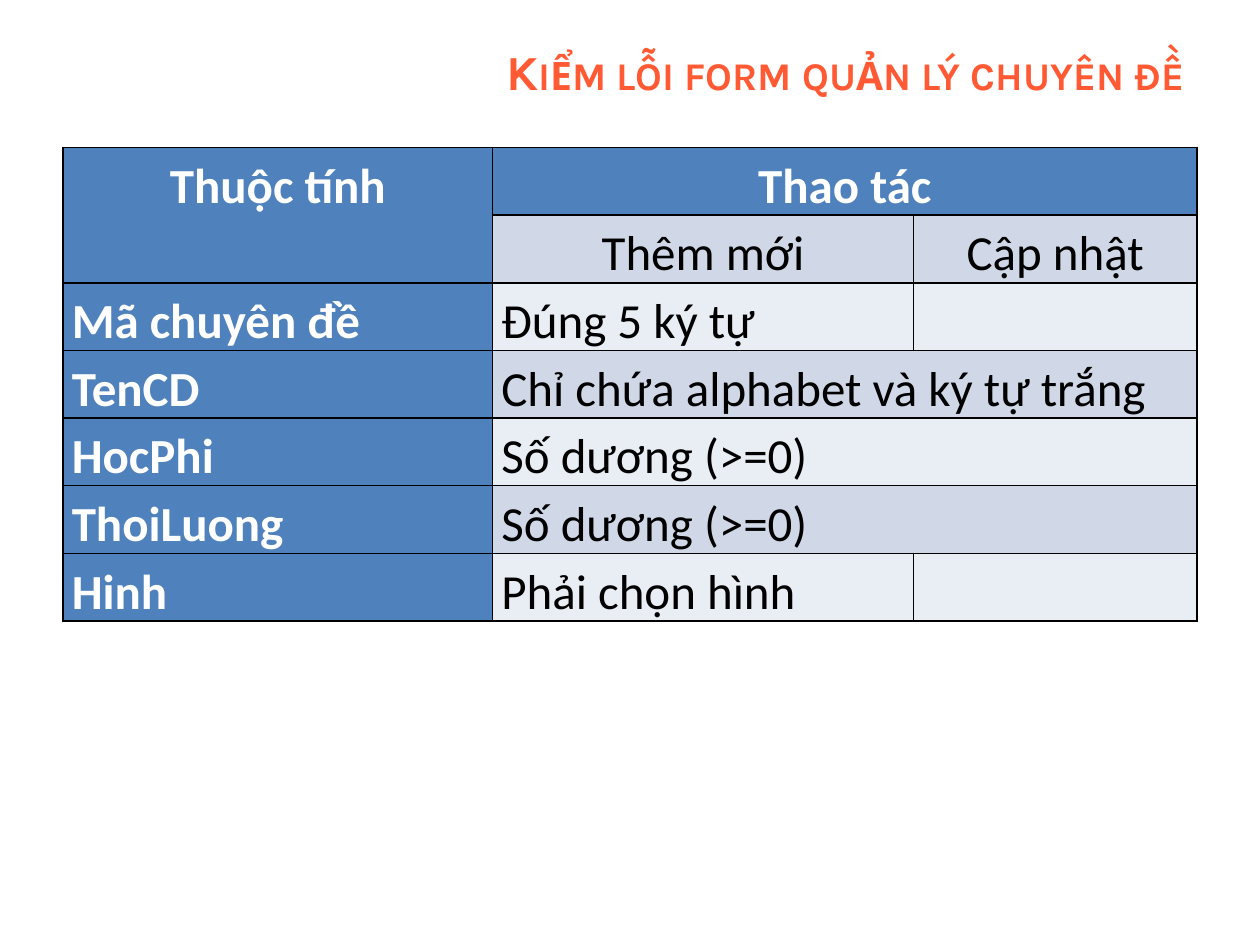
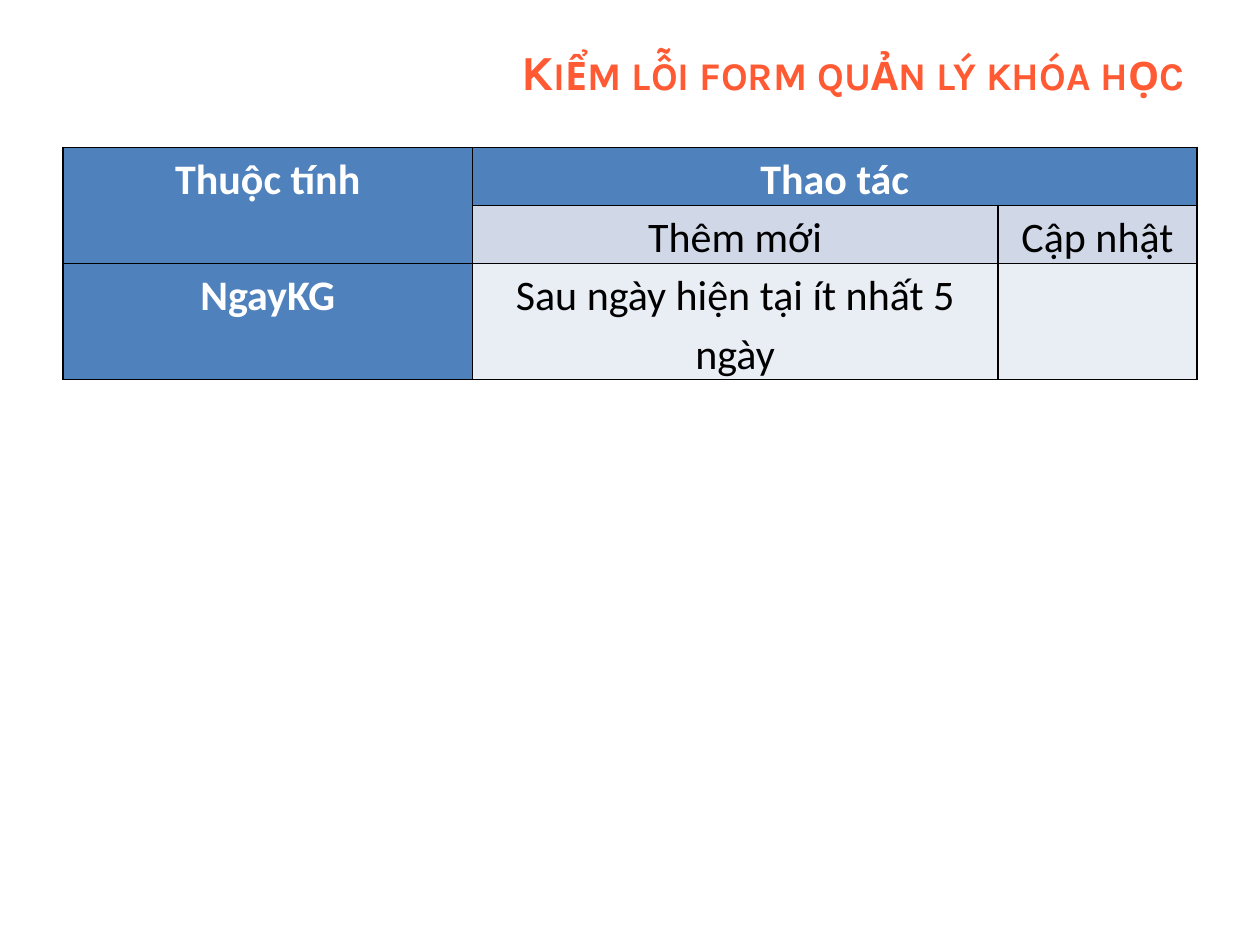
import pptx
import pptx.util
import pptx.dml.color
import pptx.enum.text
import lxml.etree

Inches = pptx.util.Inches
Pt = pptx.util.Pt
RGBColor = pptx.dml.color.RGBColor
ALIGN = pptx.enum.text.PP_ALIGN

ORANGE = RGBColor(0xFF, 0x5A, 0x33)
HEADER_BLUE = RGBColor(0x4F, 0x81, 0xBD)
BAND_DARK = RGBColor(0xD0, 0xD8, 0xE8)
BAND_LIGHT = RGBColor(0xE9, 0xED, 0xF4)
WHITE = RGBColor(0xFF, 0xFF, 0xFF)
BLACK = RGBColor(0, 0, 0)
DRAWING = "http://schemas.openxmlformats.org/drawingml/2006/main"

HEADER_ROWS = [("Thuộc tính", "Thao tác"), ("", "Thêm mới", "Cập nhật")]
FORMS = [
    {
        "title": "Kiểm lỗi form quản lý chuyên đề",
        "size": 28,
        "align": ALIGN.JUSTIFY,
        "columns": [3.41, 3.34, 2.25],
        "heights": [0.5] * 7,
        "rules": [
            ("Mã chuyên đề", "Đúng 5 ký tự", ""),
            ("TenCD", "Chỉ chứa alphabet và ký tự trắng"),
            ("HocPhi", "Số dương (>=0)"),
            ("ThoiLuong", "Số dương (>=0)"),
            ("Hinh", "Phải chọn hình", ""),
        ],
    },
    {
        "title": "Kiểm lỗi form quản lý khóa học",
        "size": 24,
        "align": ALIGN.CENTER,
        "columns": [3.25, 4.17, 1.58],
        "heights": [0.44, 0.44, 0.88],
        "rules": [("NgayKG", "Sau ngày hiện tại ít nhất 5 ngày", "")],
    },
]


def add_title(page, text):
    box = page.shapes.add_textbox(Inches(2.25), Inches(0.3), Inches(7.25), Inches(0.53))
    frame = box.text_frame
    frame.word_wrap = True
    frame.vertical_anchor = pptx.enum.text.MSO_ANCHOR.MIDDLE
    para = frame.paragraphs[0]
    para.alignment = ALIGN.RIGHT
    para.font.name = "Karla"
    para.font.size = Pt(28)
    para.font.bold = True
    para.font.color.rgb = ORANGE
    span = para.add_run()
    span.text = text
    span._r.get_or_add_rPr().set("cap", "small")


def style_cell(cell, fill):
    properties = cell._tc.get_or_add_tcPr()
    for side in ("lnL", "lnR", "lnT", "lnB"):
        line = lxml.etree.SubElement(properties, f"{{{DRAWING}}}{side}", w=str(Pt(1)))
        solid = lxml.etree.SubElement(line, f"{{{DRAWING}}}solidFill")
        lxml.etree.SubElement(solid, f"{{{DRAWING}}}srgbClr", val=str(BLACK))
    cell.fill.solid()
    cell.fill.fore_color.rgb = fill
    cell.margin_left = cell.margin_right = Inches(0.07)
    cell.margin_top = cell.margin_bottom = 0


deck = pptx.Presentation()
deck.slide_width = Inches(10)
deck.slide_height = Inches(7.5)

for form in FORMS:
    page = deck.slides.add_slide(deck.slide_layouts[6])
    add_title(page, form["title"])

    rows = HEADER_ROWS + form["rules"]
    table = page.shapes.add_table(
        len(rows), 3, Inches(0.5), Inches(1.17), Inches(9), Inches(sum(form["heights"]))
    ).table
    table.first_row = False
    table.horz_banding = False
    for column, width in zip(table.columns, form["columns"]):
        column.width = Inches(width)
    for row, height in zip(table.rows, form["heights"]):
        row.height = Inches(height)

    for r, texts in enumerate(rows):
        for c in range(3):
            is_header = r == 0 or c == 0
            band = BAND_DARK if r % 2 else BAND_LIGHT
            cell = table.cell(r, c)
            style_cell(cell, HEADER_BLUE if is_header else band)
            if c < len(texts) and texts[c]:
                cell.text = texts[c]
                para = cell.text_frame.paragraphs[0]
                para.alignment = ALIGN.CENTER if r < len(HEADER_ROWS) else form["align"]
                para.line_spacing = 1.15
                para.space_before = para.space_after = Pt(6)
                para.font.name = "Calibri"
                para.font.size = Pt(form["size"])
                para.font.bold = is_header
                para.font.color.rgb = WHITE if is_header else BLACK
        if len(texts) == 2:
            table.cell(r, 1).merge(table.cell(r, 2))
    table.cell(0, 0).merge(table.cell(1, 0))

deck.save("out.pptx")
